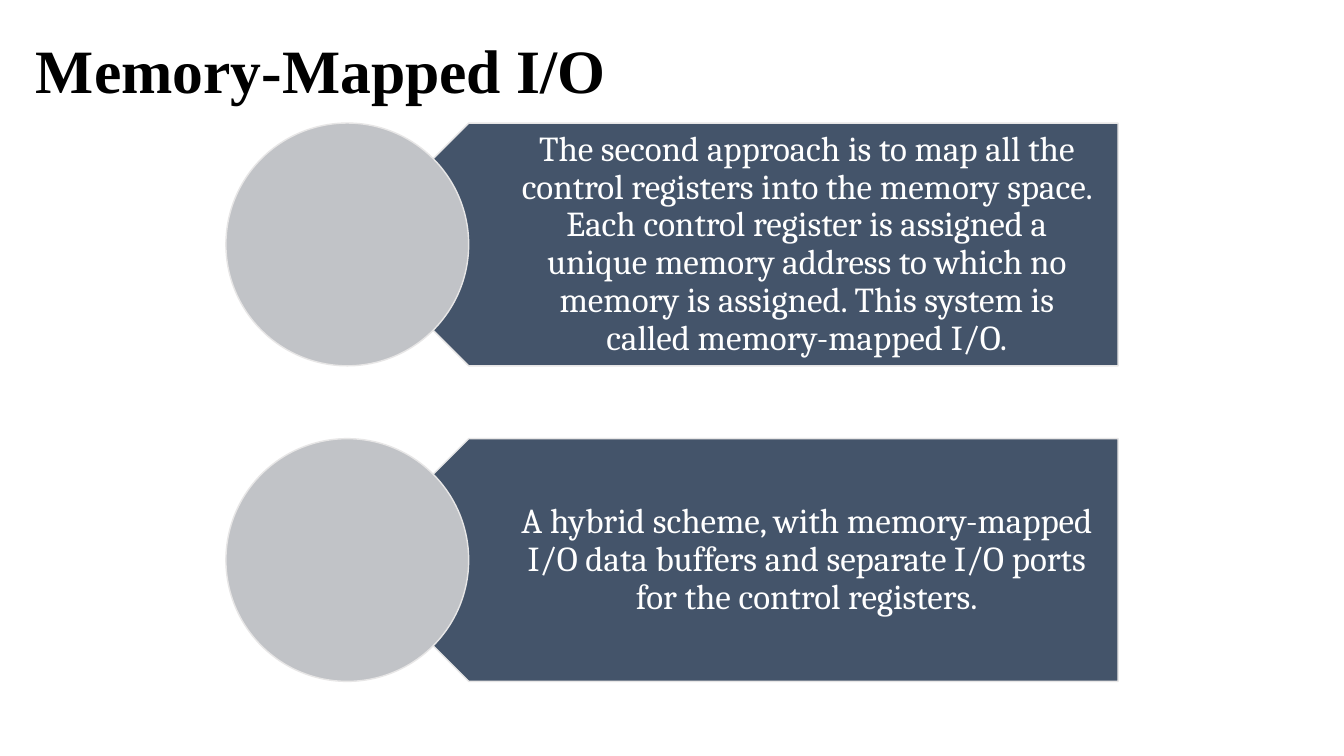
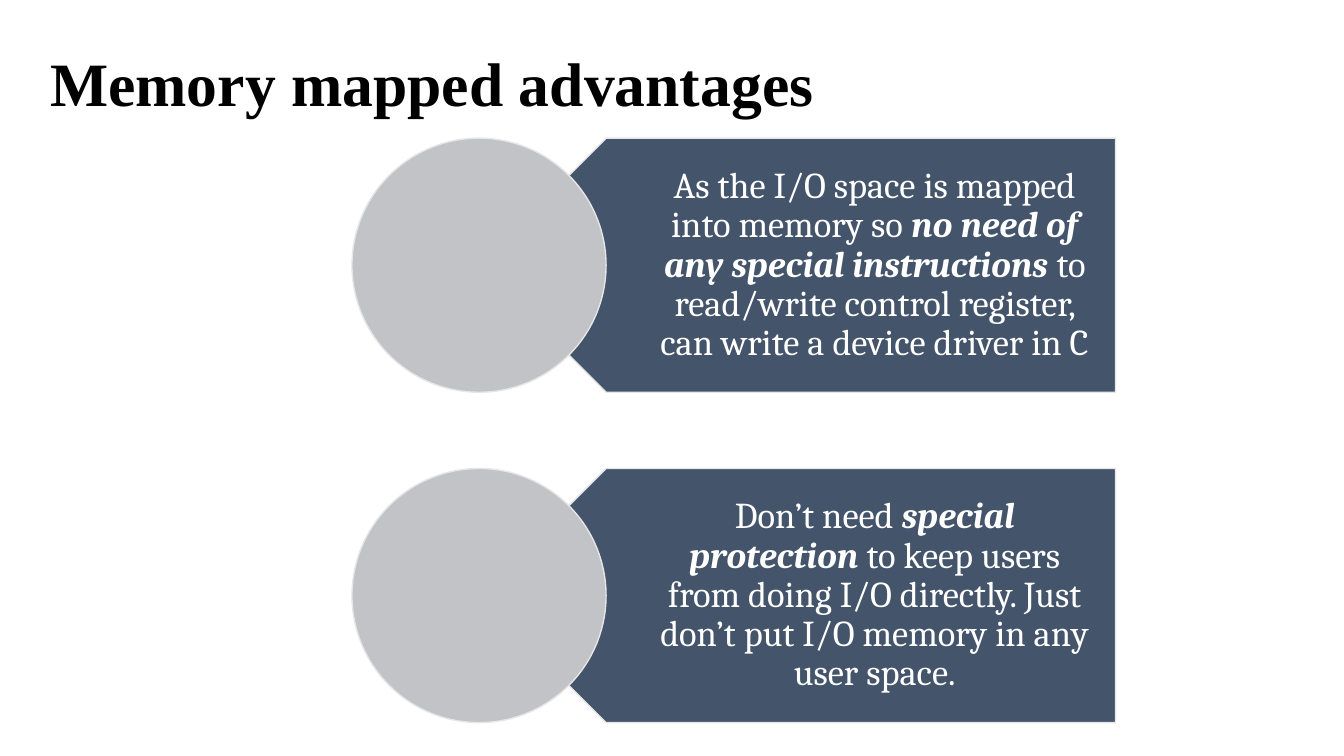
from pptx import Presentation
from pptx import util as u
from pptx.dml import color
from pptx.enum import shapes, text

COLORS = {
    "title": "000000",
    "banner": "44546A",
    "circle": "C1C3C7",
    "outline": "E7E6E6",
    "body": "FFFFFF",
}
FONTS = {"title": "Times New Roman", "body": "Cambria"}
COLUMNS, ROWS = 160, 90
BLANK_LAYOUT = 6

SLIDES = [
    {
        "title": ("Memory-Mapped I/O", 3.1, 0),
        "layout": {"left": 26.9, "top": 14.65, "diameter": 28.9, "right": 133.1, "size": 25},
        "points": [
            ["The second approach is to map all the control registers into the memory space. "
             "Each control register is assigned a unique memory address to which no memory is "
             "assigned. This system is called memory-mapped I/O."],
            ["A hybrid scheme, with memory-mapped I/O data buffers and separate I/O ports "
             "for the control registers."],
        ],
    },
    {
        "title": ("Memory mapped advantages", 4.8, 1.6),
        "layout": {"left": 41.9, "top": 16.45, "diameter": 30.25, "right": 132.8, "size": 26},
        "points": [
            ["As the I/O space is mapped into memory so ",
             "no need of any special instructions ",
             "to read/write control register, can write a device driver in C"],
            ["Don’t need ",
             "special protection",
             " to keep users from doing I/O directly. Just don’t put I/O memory in any user space."],
        ],
    },
]


class SlideBuilder:
    """Holds the deck's style and the current slide; lengths are grid cells."""

    def __init__(self):
        self.deck = Presentation()
        self.deck.slide_width = u.Inches(13.33)
        self.deck.slide_height = u.Inches(7.5)
        self.page = None

    def new_page(self):
        self.page = self.deck.slides.add_slide(self.deck.slide_layouts[BLANK_LAYOUT])

    def place(self, left, top, width, height):
        """Turn grid cells into slide lengths."""
        column = self.deck.slide_width / COLUMNS
        row = self.deck.slide_height / ROWS
        return [round(length) for length in
                (left * column, top * row, width * column, height * row)]

    def shape(self, kind, fill, *cells):
        shape = self.page.shapes.add_shape(kind, *self.place(*cells))
        shape.shadow.inherit = False
        shape.fill.solid()
        shape.fill.fore_color.rgb = color.RGBColor.from_string(COLORS[fill])
        shape.line.color.rgb = color.RGBColor.from_string(COLORS["outline"])
        shape.line.width = u.Pt(1)
        return shape

    def text(self, style, size, segments, *cells):
        """Add a text box whose every second segment is bold italic."""
        box = self.page.shapes.add_textbox(*self.place(*cells))
        frame = box.text_frame
        frame.word_wrap = True
        frame.vertical_anchor = text.MSO_ANCHOR.MIDDLE
        para = frame.paragraphs[0]
        para.line_spacing = 0.9
        for index, segment in enumerate(segments):
            span = para.add_run()
            span.text = segment
            span.font.name = FONTS[style]
            span.font.size = u.Pt(size)
            span.font.color.rgb = color.RGBColor.from_string(COLORS[style])
            span.font.bold = span.font.italic = index % 2 == 1
        return box

    def title(self, words, left, top):
        box = self.text("title", 44, [words], left, top, 138, 17.4)
        box.text_frame.paragraphs[0].runs[0].font.bold = True

    def point(self, segments, left, top, diameter, right, size):
        """Add a banner pointing left, its text, and the circle over its tip."""
        tip = left + diameter / 2
        banner = self.shape(shapes.MSO_SHAPE.PENTAGON, "banner",
                            tip, top, right - tip, diameter)
        banner.rotation = 180

        text_left = left + diameter * 0.75
        box = self.text("body", size, segments,
                        text_left, top, right - text_left, diameter)
        frame = box.text_frame
        frame.paragraphs[0].alignment = text.PP_ALIGN.CENTER
        frame.margin_left = round(box.height * 0.44)
        frame.margin_right = round(box.height * 0.08)
        frame.margin_top = frame.margin_bottom = round(box.height * 0.04)

        self.shape(shapes.MSO_SHAPE.OVAL, "circle", left, top, diameter, diameter)

    def points(self, items, left, top, diameter, right, size):
        pitch = diameter * 1.3
        for index, segments in enumerate(items):
            self.point(segments, left, top + index * pitch, diameter, right, size)


def main():
    builder = SlideBuilder()
    for content in SLIDES:
        builder.new_page()
        builder.title(*content["title"])
        builder.points(content["points"], **content["layout"])
    builder.deck.save("out.pptx")


if __name__ == "__main__":
    main()
